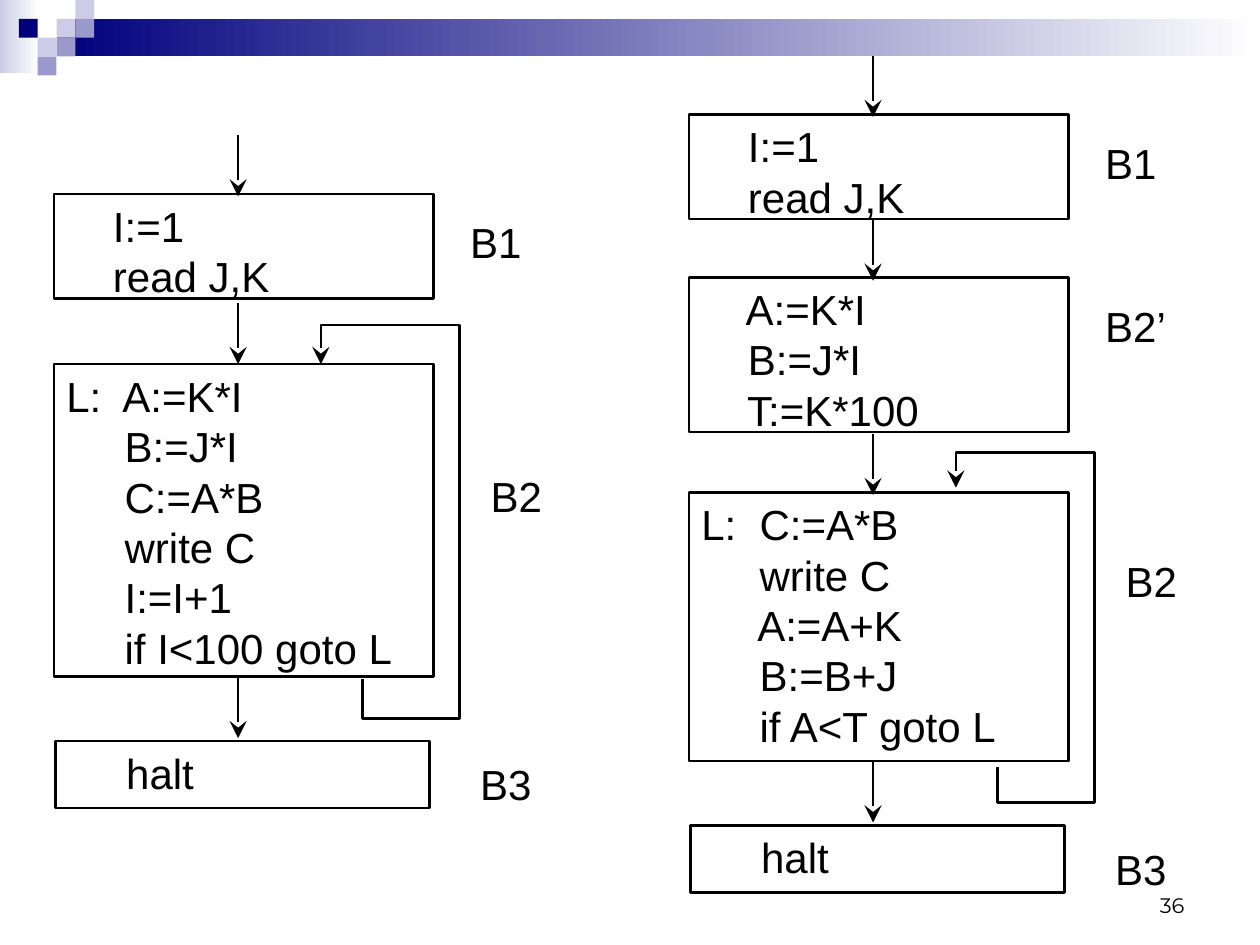
from pptx import Presentation
from pptx.dml.color import RGBColor
from pptx.enum.shapes import MSO_CONNECTOR, MSO_SHAPE
from pptx.enum.text import MSO_ANCHOR, PP_ALIGN
from pptx.oxml.ns import qn
from pptx.util import Cm, Pt
from lxml import etree

RECTANGLE = MSO_SHAPE.RECTANGLE
STRAIGHT = MSO_CONNECTOR.STRAIGHT
TOP, BOTTOM = MSO_ANCHOR.TOP, MSO_ANCHOR.BOTTOM
LEFT, RIGHT = PP_ALIGN.LEFT, PP_ALIGN.RIGHT

COLORS = {"ink": "000000", "white": "FFFFFF", "navy": "00007D",
          "pale": "CCCCE6", "mid": "9999CC"}
TILE = 0.38
TILES = [(3, 1, "pale"), (4, 0, "pale"), (4, 1, "mid"), (2, 2, "pale"),
         (1, 1, "navy"), (3, 2, "mid"), (2, 3, "mid")]
BLOCK_WIDTH, EXIT_WIDTH = 7.65, 7.54
EXIT_INDENT, EXIT_HEIGHT = 0.03, 1.35
ARROW_X, ARROW_LENGTH = 3.71, 1.24
LOOP_START, LOOP_SIDE, LOOP_END = 6.22, 8.18, 5.38

ENTRY = ["    I:=1", "    read J,K"]
EXIT = ["     halt"]
BEFORE = {
    "left": 1.09,
    "blocks": [
        (3.91, 2.11, ENTRY),
        (7.34, 6.3, ["L:  A:=K*I", "     B:=J*I", "     C:=A*B",
                     "     write C", "     I:=I+1", "     if I<100 goto L"]),
    ],
    "exit": 14.94,
    "arrows": [2.72, 6.1, 13.64],
    "labels": [("B1", 7.9, 4.24), ("B2", 8.31, 9.37), ("B3", 8.1, 15.16)],
    "loop": (13.69, 14.48, 6.55, 7.34),
}
AFTER = {
    "left": 13.89,
    "blocks": [
        (2.31, 2.11, ENTRY),
        (5.59, 3.12, ["    A:=K*I", "    B:=J*I", "    T:=K*100"]),
        (9.93, 5.41, ["L:  C:=A*B", "     write C", "     A:=A+K",
                      "     B:=B+J", "     if A<T goto L"]),
    ],
    "exit": 16.64,
    "arrows": [1.12, 4.42, 8.74, 15.34],
    "labels": [("B1", 7.9, 2.64), ("B2’", 7.9, 5.94),
               ("B2", 8.31, 11.07), ("B3", 8.1, 16.87)],
    "loop": (15.47, 16.18, 9.12, 9.83),
}


def color(name):
    return RGBColor.from_string(COLORS[name])


def add_rectangle(page, left, top, width, height):
    box = page.shapes.add_shape(RECTANGLE, Cm(left), Cm(top), Cm(width), Cm(height))
    box.shadow.inherit = False
    return box


def add_tile(page, column, row, fill):
    tile = add_rectangle(page, column * TILE, row * TILE, TILE, TILE)
    tile.fill.solid()
    tile.fill.fore_color.rgb = color(fill)
    tile.line.fill.background()


def add_fading_band(page, left, top, width, height, start):
    band = add_rectangle(page, left, top, width, height)
    band.fill.gradient()
    band.fill.gradient_angle = 0
    for stop, position, name in zip(band.fill.gradient_stops, (0, 1), (start, "white")):
        stop.position = position
        stop.color.rgb = color(name)
    band.line.fill.background()


def write_lines(box, lines, size=24, font="Arial", align=LEFT, anchor=TOP):
    frame = box.text_frame
    frame.word_wrap = True
    frame.vertical_anchor = anchor
    for index, line in enumerate(lines):
        paragraph = frame.add_paragraph() if index else frame.paragraphs[0]
        paragraph.text = line
        paragraph.alignment = align
        paragraph.font.size = Pt(size)
        paragraph.font.name = font
        paragraph.font.color.rgb = color("ink")


def add_text(page, left, top, width, height, text, **style):
    box = page.shapes.add_textbox(Cm(left), Cm(top), Cm(width), Cm(height))
    write_lines(box, [text], **style)


def add_block(page, left, top, width, height, lines):
    block = add_rectangle(page, left, top, width, height)
    block.fill.background()
    draw_outline(block)
    write_lines(block, lines)


def draw_outline(shape, arrow=False):
    shape.line.color.rgb = color("ink")
    shape.line.width = Pt(1.5)
    if arrow:
        outline = shape.line._get_or_add_ln()
        etree.SubElement(outline, qn("a:tailEnd"), type="stealth", w="lg", len="lg")


def add_arrow(page, x, top):
    arrow = page.shapes.add_connector(STRAIGHT, Cm(x), Cm(top), Cm(x), Cm(top + ARROW_LENGTH))
    draw_outline(arrow, arrow=True)
    etree.SubElement(arrow._element.spPr, qn("a:effectLst"))


def add_loop(page, left, start, bottom, top, end):
    points = [(LOOP_START, start), (LOOP_START, bottom), (LOOP_SIDE, bottom),
              (LOOP_SIDE, top), (LOOP_END, top), (LOOP_END, end)]
    corners = [(Cm(left + x), Cm(y)) for x, y in points]
    builder = page.shapes.build_freeform(*corners[0])
    builder.add_line_segments(corners[1:], close=False)
    loop = builder.convert_to_shape()
    loop.shadow.inherit = False
    loop.fill.background()
    draw_outline(loop, arrow=True)


def add_flowchart(page, chart):
    left = chart["left"]
    for top, height, lines in chart["blocks"]:
        add_block(page, left, top, BLOCK_WIDTH, height, lines)
    add_block(page, left + EXIT_INDENT, chart["exit"], EXIT_WIDTH, EXIT_HEIGHT, EXIT)
    add_loop(page, left, *chart["loop"])
    for top in chart["arrows"]:
        add_arrow(page, left + ARROW_X, top)
    for text, offset, top in chart["labels"]:
        add_text(page, left + offset + 0.24, top, 2.1, 1.27, text)


def main():
    deck = Presentation()
    deck.slide_width, deck.slide_height = Cm(25.4), Cm(19.05)
    page = deck.slides.add_slide(deck.slide_layouts[6])
    add_fading_band(page, 0, 0, 0.79, 1.47, "pale")
    add_fading_band(page, 1.14, 0.38, 24.26, 0.76, "navy")
    for tile in TILES:
        add_tile(page, *tile)
    for chart in (AFTER, BEFORE):
        add_flowchart(page, chart)
    add_text(page, 18.21, 17.35, 5.92, 1.27, "36", size=12, font="Montserrat",
             align=RIGHT, anchor=BOTTOM)
    deck.save("out.pptx")


if __name__ == "__main__":
    main()
